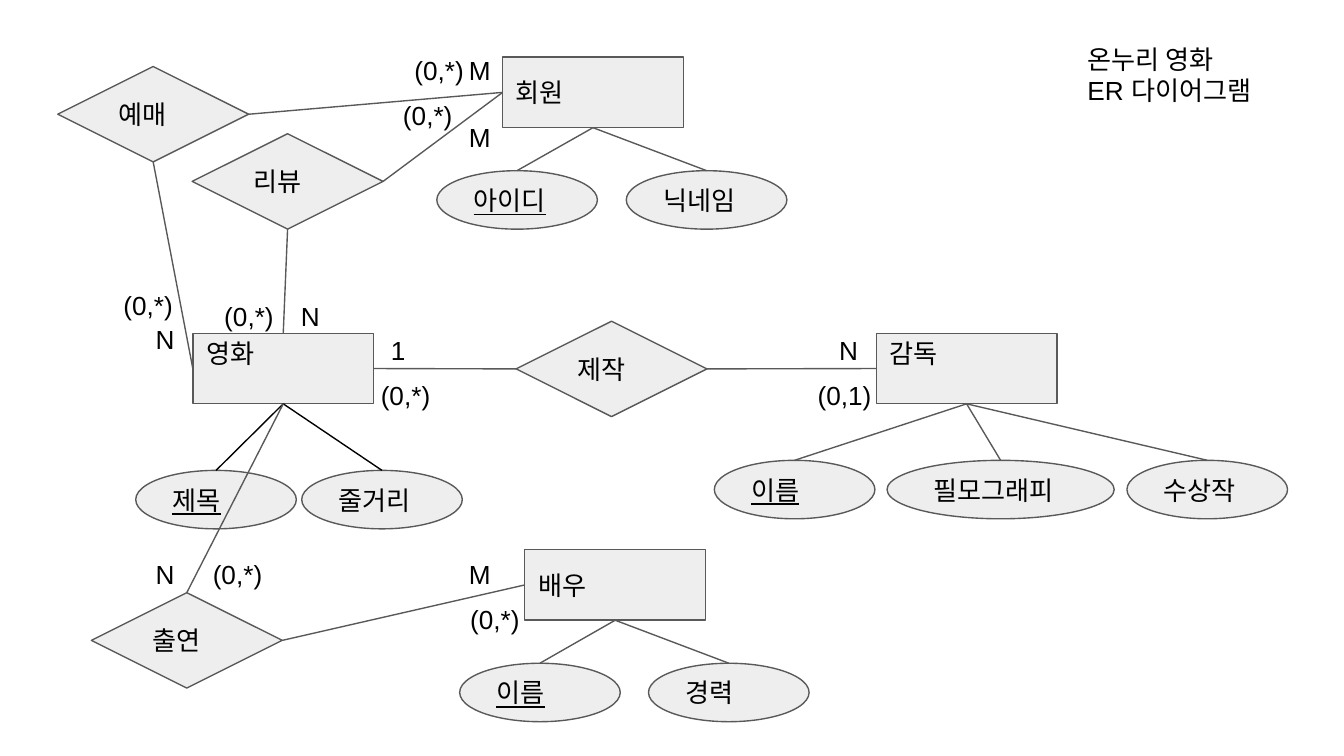
from dataclasses import dataclass
from enum import IntEnum

from lxml.etree import SubElement
from pptx import Presentation
from pptx.dml.color import RGBColor
from pptx.enum.shapes import MSO_CONNECTOR as Connector, MSO_SHAPE as Preset
from pptx.enum.text import MSO_ANCHOR as Anchor, MSO_AUTO_SIZE as AutoSize, PP_ALIGN as Align
from pptx.oxml.ns import qn
from pptx.util import Emu, Pt

PX = 4572  # 200 px to the inch
BLACK, GREY, PALE = "000000", "595959", "EEEEEE"
ENTITY_SIZE = (269, 105)
RELATION_SIZE = (284, 142)
ATTRIBUTE_HEIGHT = 87
LABEL_HEIGHT = 68
INSET = 20


class Side(IntEnum):
    """Connection sites of a rectangle or diamond; TOP also fits an ellipse."""
    TOP = 0
    LEFT = 1
    BOTTOM = 2
    RIGHT = 3


@dataclass
class Attribute:
    name: str
    left: int
    width: int = 239
    is_key: bool = False


@dataclass
class Entity:
    name: str
    left: int
    top: int
    attribute_top: int
    attributes: list[Attribute]
    line: str = GREY
    raised: bool = False


@dataclass
class Link:
    entity: str
    entity_side: Side
    relation_side: Side


@dataclass
class Relation:
    name: str
    left: int
    top: int
    links: list[Link]


@dataclass
class Label:
    text: str
    left: int
    top: int

    @property
    def width(self) -> int:
        return 98 if len(self.text) == 1 else 130


ENTITIES = [
    Entity("영화", 287, 496, 700, [
        Attribute("제목", 202, is_key=True), Attribute("줄거리", 449)], BLACK, raised=True),
    Entity("감독", 1304, 496, 685, [
        Attribute("이름", 1063, is_key=True), Attribute("필모그래피", 1320, 338),
        Attribute("수상작", 1677)], raised=True),
    Entity("회원", 748, 85, 254, [
        Attribute("아이디", 650, is_key=True), Attribute("닉네임", 932)]),
    Entity("배우", 781, 818, 987, [
        Attribute("이름", 684, is_key=True), Attribute("경력", 965)]),
]
RELATIONS = [
    Relation("제작", 768, 478, [
        Link("영화", Side.RIGHT, Side.LEFT), Link("감독", Side.LEFT, Side.RIGHT)]),
    Relation("리뷰", 286, 199, [
        Link("영화", Side.TOP, Side.BOTTOM), Link("회원", Side.LEFT, Side.RIGHT)]),
    Relation("예매", 86, 99, [
        Link("회원", Side.LEFT, Side.RIGHT), Link("영화", Side.LEFT, Side.BOTTOM)]),
    Relation("출연", 136, 882, [
        Link("영화", Side.BOTTOM, Side.TOP), Link("배우", Side.LEFT, Side.RIGHT)]),
]
LABELS = [
    Label("1", 562, 478), Label("(0,*)", 547, 545),
    Label("N", 1229, 478), Label("(0,1)", 1197, 545),
    Label("N", 428, 427), Label("(0,*)", 314, 427),
    Label("M", 678, 161), Label("(0,*)", 580, 128),
    Label("N", 212, 461), Label("(0,*)", 164, 411),
    Label("M", 678, 61), Label("(0,*)", 597, 61),
    Label("N", 212, 811), Label("(0,*)", 297, 811),
    Label("M", 678, 811), Label("(0,*)", 680, 878),
]


def px(*lengths: int) -> list[Emu]:
    return [Emu(length * PX) for length in lengths]


def color(hex_value: str) -> RGBColor:
    return RGBColor.from_string(hex_value)


def write(box, lines: list[str], anchor=Anchor.TOP, underline: bool = False) -> None:
    frame = box.text_frame
    frame.word_wrap = True
    frame.auto_size = AutoSize.NONE
    frame.vertical_anchor = anchor
    (frame.margin_left, frame.margin_top,
     frame.margin_right, frame.margin_bottom) = px(*[INSET] * 4)
    frame.text = "\n".join(lines)
    for para in frame.paragraphs:
        para.alignment = Align.LEFT
        font = para.font
        font.name, font.size = "Arial", Pt(14)
        font.color.rgb = color(BLACK)
        if underline:
            font.underline = True


def add_node(page, preset, bounds: tuple[int, ...], name: str, underline: bool = False):
    node = page.shapes.add_shape(preset, *px(*bounds))
    node.shadow.inherit = False
    node.fill.solid()
    node.fill.fore_color.rgb = color(PALE)
    node.line.color.rgb = color(GREY)
    node.line.width = Pt(0.75)
    write(node, [name], Anchor.MIDDLE, underline)
    return node


def add_link(page, start, start_side: Side, end, end_side: Side, line: str = GREY) -> None:
    link = page.shapes.add_connector(Connector.STRAIGHT, *px(0, 0, 0, 0))
    link.begin_connect(start, int(start_side))
    link.end_connect(end, int(end_side))
    link.line.color.rgb = color(line)
    link.line.width = Pt(0.75)
    SubElement(link._element.spPr, qn("a:effectLst"))


def add_entity(page, entity: Entity):
    """Draw an entity with its attributes and return its rectangle."""
    box = add_node(page, Preset.RECTANGLE, (entity.left, entity.top, *ENTITY_SIZE), entity.name)
    if entity.raised:
        box.text_frame.vertical_anchor = Anchor.TOP
        box.text_frame.margin_top = px(6)[0]
    for attribute in entity.attributes:
        bounds = (attribute.left, entity.attribute_top, attribute.width, ATTRIBUTE_HEIGHT)
        oval = add_node(page, Preset.OVAL, bounds, attribute.name, attribute.is_key)
        add_link(page, oval, Side.TOP, box, Side.BOTTOM, entity.line)
    return box


def add_relation(page, relation: Relation, boxes: dict) -> None:
    bounds = (relation.left, relation.top, *RELATION_SIZE)
    diamond = add_node(page, Preset.DIAMOND, bounds, relation.name)
    for link in relation.links:
        add_link(page, boxes[link.entity], link.entity_side, diamond, link.relation_side)


def add_label(page, label: Label) -> None:
    box = page.shapes.add_textbox(*px(label.left, label.top, label.width, LABEL_HEIGHT))
    write(box, [label.text])


def main() -> None:
    deck = Presentation()
    deck.slide_width, deck.slide_height = px(2000, 1125)
    page = deck.slides.add_slide(deck.slide_layouts[5])
    title = page.shapes.title
    title.left, title.top, title.width, title.height = px(1598, 44, 358, 188)
    write(title, ["온누리 영화", "ER 다이어그램"])
    boxes = {entity.name: add_entity(page, entity) for entity in ENTITIES}
    for relation in RELATIONS:
        add_relation(page, relation, boxes)
    for label in LABELS:
        add_label(page, label)
    deck.save("out.pptx")


if __name__ == "__main__":
    main()
